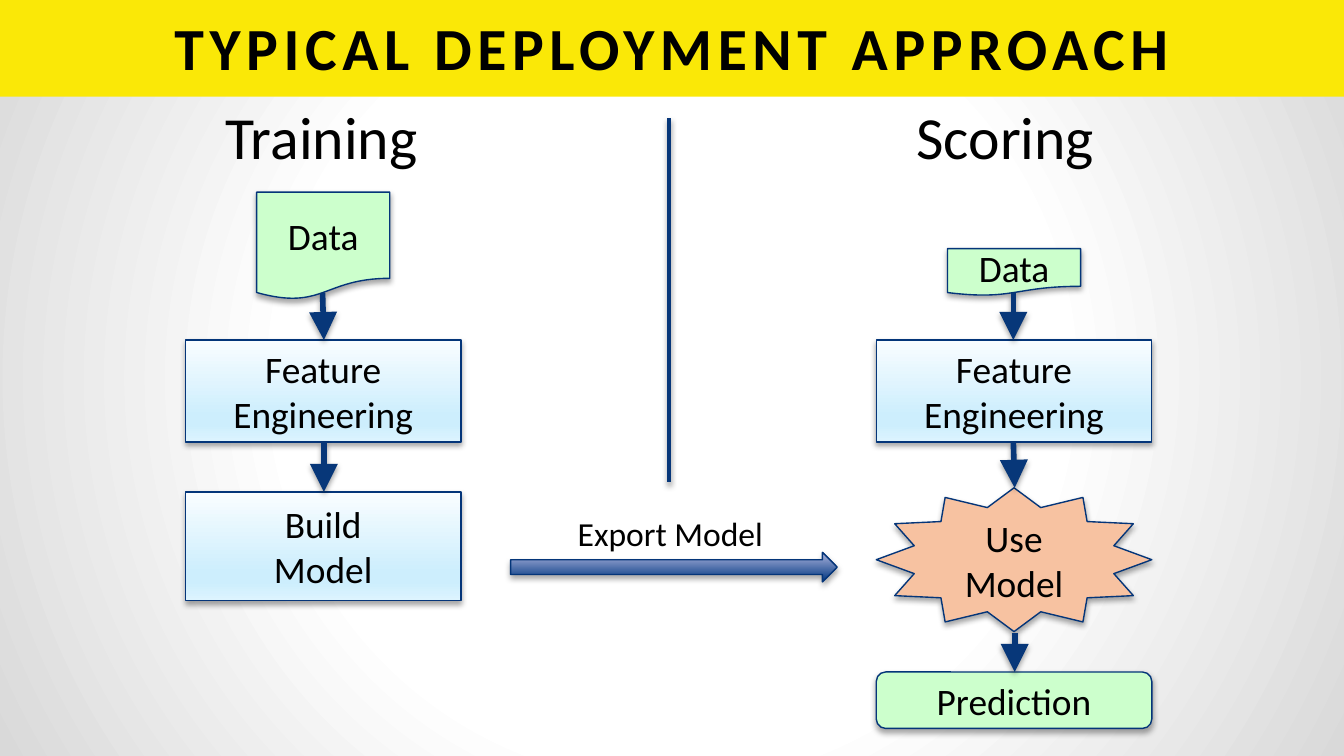
from dataclasses import dataclass

from pptx import Presentation
from pptx.dml.color import RGBColor
from pptx.enum.shapes import MSO_CONNECTOR, MSO_SHAPE
from pptx.enum.text import MSO_ANCHOR, PP_ALIGN
from pptx.oxml import parse_xml
from pptx.oxml.ns import nsdecls, qn
from pptx.util import Inches, Pt

YELLOW = RGBColor(0xFA, 0xE8, 0x07)
BLACK = RGBColor(0, 0, 0)
OUTLINE = RGBColor(0x04, 0x35, 0x79)
FLOW = RGBColor(0x07, 0x37, 0x79)
GREEN = RGBColor(0xCC, 0xFF, 0xCC)
PEACH = RGBColor(0xF7, 0xC2, 0xA1)
WHITE = RGBColor(0xFF, 0xFF, 0xFF)
GREY = RGBColor(0xD9, 0xD9, 0xD9)
ICE = RGBColor(0xF9, 0xFD, 0xFF)
SKY = RGBColor(0xCD, 0xEE, 0xFD)
PALE_SKY = RGBColor(0xDD, 0xF4, 0xFE)
NAVY = RGBColor(0x00, 0x36, 0x80)
LAVENDER = RGBColor(0xAB, 0xB3, 0xDC)

SLIDE_WIDTH = 10
SLIDE_HEIGHT = SLIDE_WIDTH * 9 / 16
TRAINING_X = 1.38
SCORING_X = 6.52
STEP_WIDTH = 2.05
DATA_WIDTH = 0.99
DATA_INSET = (STEP_WIDTH - DATA_WIDTH) / 2


@dataclass(frozen=True)
class Gradient:
    stops: tuple[tuple[int, RGBColor], ...]
    angle: int | None = None


@dataclass(frozen=True)
class Step:
    text: str
    left: float
    top: float
    height: float
    fill: RGBColor | Gradient
    kind: MSO_SHAPE = MSO_SHAPE.RECTANGLE
    width: float = STEP_WIDTH


@dataclass(frozen=True)
class Link:
    start: tuple[float, float]
    end: tuple[float, float]
    weight: float = 3
    arrow: bool = True


@dataclass(frozen=True)
class Label:
    text: str
    left: float
    top: float
    width: float
    height: float
    size: int


BACKDROP = Gradient(((50, WHITE), (100, GREY)))
PROCESS = Gradient(((0, ICE), (74, SKY), (83, SKY), (100, PALE_SKY)), 90)
EXPORT = Gradient(((0, NAVY), (100, LAVENDER)), 270)

STEPS = (
    Step("Data", TRAINING_X + DATA_INSET, 1.43, 0.8, GREEN,
         MSO_SHAPE.FLOWCHART_DOCUMENT, DATA_WIDTH),
    Step("Feature\nEngineering", TRAINING_X, 2.53, 0.76, PROCESS),
    Step("Build\nModel", TRAINING_X, 3.66, 0.81, PROCESS),
    Step("Data", SCORING_X + DATA_INSET, 1.85, 0.35, GREEN,
         MSO_SHAPE.FLOWCHART_DOCUMENT, DATA_WIDTH),
    Step("Feature\nEngineering", SCORING_X, 2.53, 0.76, PROCESS),
    Step("Use Model", SCORING_X, 3.63, 1.07, PEACH, MSO_SHAPE.STAR_12_POINT),
    Step("Prediction", SCORING_X, 5, 0.42, GREEN, MSO_SHAPE.ROUNDED_RECTANGLE),
    Step("", 3.8, 4.11, 0.22, EXPORT, MSO_SHAPE.RIGHT_ARROW, 2.43),
)

LINKS = (
    Link((4.98, 0.88), (4.98, 3.59), weight=2, arrow=False),
    Link((2.4, 2.18), (2.41, 2.53)),
    Link((2.41, 3.29), (2.41, 3.66)),
    Link((7.54, 2.18), (7.54, 2.53)),
    Link((7.54, 3.29), (7.55, 3.63)),
    Link((7.55, 4.71), (7.55, 5)),
)

LABELS = (
    Label("Training", 1.58, 0.69, 1.68, 0.64, 32),
    Label("Scoring", 6.72, 0.69, 1.54, 0.64, 32),
    Label("Export Model", 4.2, 3.77, 1.6, 0.4, 18),
)


def write_text(frame, text: str, *, size: int = 20, bold: bool = False,
               align=PP_ALIGN.CENTER, anchor=MSO_ANCHOR.MIDDLE,
               wrap: bool = True, spacing: int = 0) -> None:
    frame.word_wrap = wrap
    frame.vertical_anchor = anchor
    for index, line in enumerate(text.split("\n")):
        paragraph = frame.add_paragraph() if index else frame.paragraphs[0]
        paragraph.alignment = align
        run = paragraph.add_run()
        run.text = line
        run.font.name = "Calibri"
        run.font.size = Pt(size)
        run.font.bold = bold
        run.font.color.rgb = BLACK
        if spacing:
            run.font._element.set("spc", str(spacing * 100))


def apply_gradient(fill, properties, gradient: Gradient) -> None:
    fill.solid()
    stops = "".join(
        f'<a:gs pos="{position * 1000}"><a:srgbClr val="{color}"/></a:gs>'
        for position, color in gradient.stops
    )
    if gradient.angle is None:
        direction = ('<a:path path="circle"><a:fillToRect l="50000" t="50000" '
                     'r="50000" b="50000"/></a:path>')
    else:
        direction = f'<a:lin ang="{gradient.angle * 60000}" scaled="0"/>'
    properties.replace(
        properties.find(qn("a:solidFill")),
        parse_xml(f'<a:gradFill {nsdecls("a")} rotWithShape="1">'
                  f'<a:gsLst>{stops}</a:gsLst>{direction}</a:gradFill>'),
    )


def add_shadow(properties, distance: float, opacity: int) -> None:
    properties.append(parse_xml(
        f'<a:effectLst {nsdecls("a")}><a:outerShdw blurRad="{Pt(3.1)}" '
        f'dist="{Pt(distance)}" dir="5400000" rotWithShape="0">'
        f'<a:srgbClr val="000000"><a:alpha val="{opacity * 1000}"/></a:srgbClr>'
        '</a:outerShdw></a:effectLst>'
    ))


def add_step(slide, step: Step) -> None:
    shape = slide.shapes.add_shape(
        step.kind, Inches(step.left), Inches(step.top),
        Inches(step.width), Inches(step.height))
    properties = shape._element.spPr
    if isinstance(step.fill, Gradient):
        apply_gradient(shape.fill, properties, step.fill)
    else:
        shape.fill.solid()
        shape.fill.fore_color.rgb = step.fill
    shape.line.color.rgb = OUTLINE
    shape.line.width = Pt(0.75)
    add_shadow(properties, 1.8, 35)
    if step.text:
        write_text(shape.text_frame, step.text)


def add_link(slide, link: Link) -> None:
    connector = slide.shapes.add_connector(
        MSO_CONNECTOR.STRAIGHT, *map(Inches, link.start + link.end))
    connector.line.color.rgb = FLOW
    connector.line.width = Pt(link.weight)
    properties = connector._element.spPr
    if link.arrow:
        properties.find(qn("a:ln")).append(parse_xml(
            f'<a:tailEnd {nsdecls("a")} type="triangle" w="lg" len="lg"/>'))
    add_shadow(properties, 1.6, 38)


def add_label(slide, label: Label, **text_format) -> None:
    box = slide.shapes.add_textbox(
        Inches(label.left), Inches(label.top),
        Inches(label.width), Inches(label.height))
    write_text(box.text_frame, label.text, size=label.size, **text_format)


def add_banner(slide) -> None:
    banner = slide.shapes.add_shape(
        MSO_SHAPE.RECTANGLE, 0, 0, Inches(SLIDE_WIDTH), Inches(0.72))
    banner.shadow.inherit = False
    banner.fill.solid()
    banner.fill.fore_color.rgb = YELLOW
    banner.line.fill.background()
    title = Label("TYPICAL DEPLOYMENT APPROACH", 0.5, -0.01, 9, 0.72, 32)
    add_label(slide, title, bold=True, spacing=3)


def main() -> None:
    presentation = Presentation()
    presentation.slide_width = Inches(SLIDE_WIDTH)
    presentation.slide_height = Inches(SLIDE_HEIGHT)
    slide = presentation.slides.add_slide(presentation.slide_layouts[6])
    backdrop = slide.background.fill
    backdrop.solid()
    apply_gradient(backdrop, next(slide._element.iter(qn("p:bgPr"))), BACKDROP)
    add_banner(slide)
    for step in STEPS:
        add_step(slide, step)
    for link in LINKS:
        add_link(slide, link)
    for label in LABELS:
        add_label(slide, label, align=PP_ALIGN.LEFT,
                  anchor=MSO_ANCHOR.TOP, wrap=False)
    presentation.save("out.pptx")


if __name__ == "__main__":
    main()
